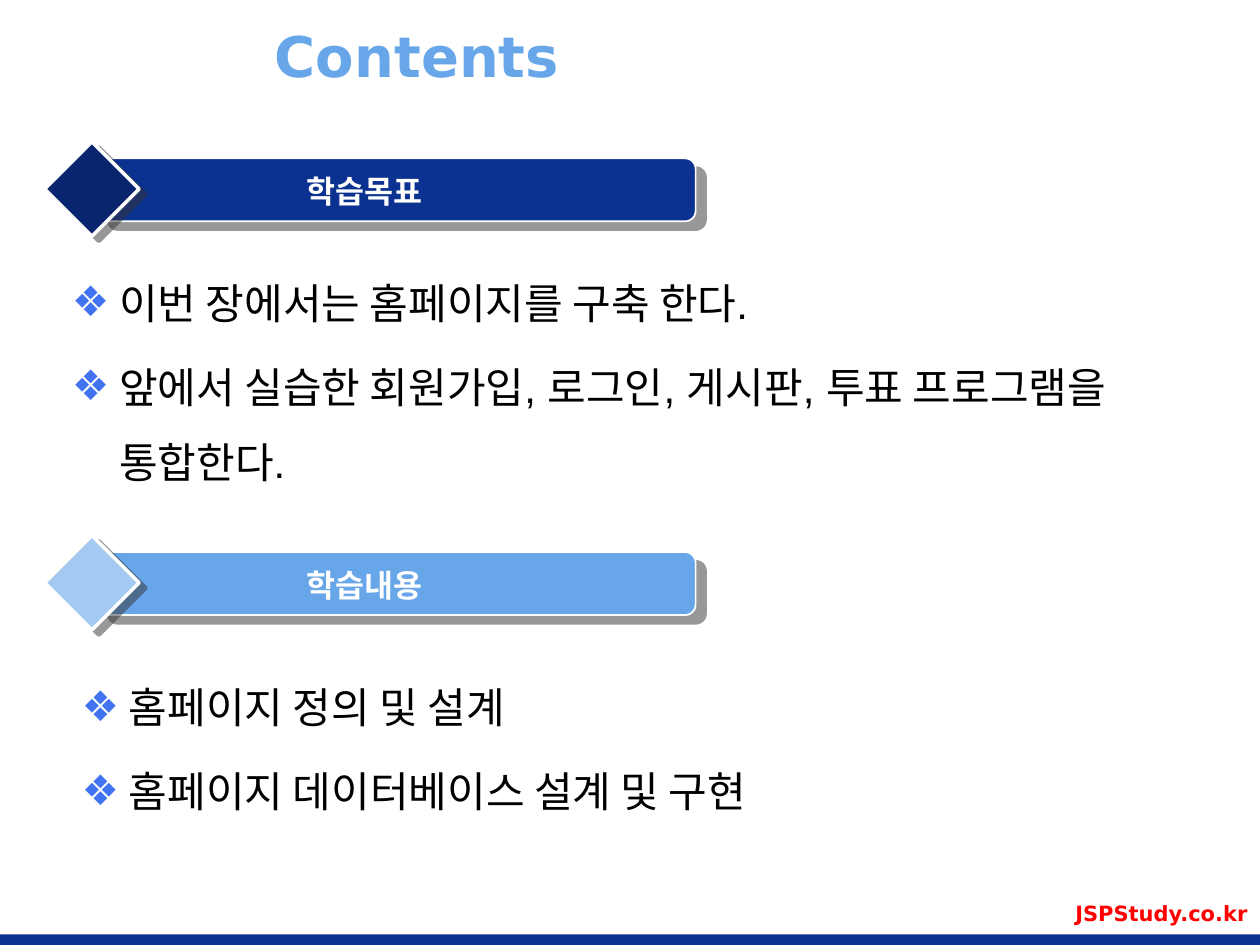
from lxml import etree
from pptx import Presentation
from pptx.dml.color import RGBColor
from pptx.enum.shapes import MSO_SHAPE
from pptx.enum.text import MSO_ANCHOR, PP_ALIGN
from pptx.oxml.ns import qn
from pptx.util import Pt

RECTANGLE = MSO_SHAPE.RECTANGLE
ROUNDED = MSO_SHAPE.ROUNDED_RECTANGLE
DIAMOND = MSO_SHAPE.DIAMOND
LEFT, CENTER, RIGHT = PP_ALIGN.LEFT, PP_ALIGN.CENTER, PP_ALIGN.RIGHT
TOP, MIDDLE = MSO_ANCHOR.TOP, MSO_ANCHOR.MIDDLE

COLORS = {
    "navy": "0B3191",
    "dark_navy": "08256D",
    "sky": "68A6EA",
    "pale_sky": "A4CAF2",
    "bullet": "4173F1",
    "shadow": "333333",
    "red": "FF0000",
    "black": "000000",
    "white": "FFFFFF",
}
LATIN_FONT = "DejaVu Sans"
BODY_FONT = "Arial"


def rgb(name):
    return RGBColor.from_string(COLORS[name])


def add_bullet(paragraph, indent=27):
    properties = paragraph._p.get_or_add_pPr()
    properties.set("marL", str(Pt(indent)))
    properties.set("indent", str(-Pt(indent)))
    color = etree.SubElement(properties, qn("a:buClr"))
    etree.SubElement(color, qn("a:srgbClr"), val=COLORS["bullet"])
    etree.SubElement(properties, qn("a:buFont"), typeface=LATIN_FONT)
    etree.SubElement(properties, qn("a:buChar"), char="❖")


def add_text(shapes, lines, box, size=24, font=BODY_FONT, color="black", bold=False,
             align=LEFT, anchor=TOP, bullets=False, line_spacing=1.0, gap=0):
    text_box = shapes.add_textbox(*map(Pt, box))
    frame = text_box.text_frame
    frame.word_wrap = True
    frame.vertical_anchor = anchor
    for index, line in enumerate(lines):
        paragraph = frame.paragraphs[0] if index == 0 else frame.add_paragraph()
        paragraph.alignment = align
        paragraph.line_spacing = line_spacing
        if index:
            paragraph.space_before = Pt(gap)
        if bullets:
            add_bullet(paragraph)
        run = paragraph.add_run()
        run.text = line
        run.font.size = Pt(size)
        run.font.name = font
        run.font.bold = bold
        run.font.color.rgb = rgb(color)


def add_block(shapes, kind, box, fill, line_width=0):
    shape = shapes.add_shape(kind, *map(Pt, box))
    shape.shadow.inherit = False
    shape.fill.solid()
    shape.fill.fore_color.rgb = rgb(fill)
    if line_width:
        shape.line.color.rgb = rgb("white")
        shape.line.width = Pt(line_width)
    else:
        shape.line.fill.background()
    return shape


def add_shadow(shape, distance, degrees):
    effects = shape._element.spPr.find(qn("a:effectLst"))
    shadow = etree.SubElement(effects, qn("a:outerShdw"), blurRad="0",
                              dist=str(Pt(distance)), dir=str(degrees * 60000),
                              algn="ctr", rotWithShape="0")
    color = etree.SubElement(shadow, qn("a:srgbClr"), val=COLORS["shadow"])
    etree.SubElement(color, qn("a:alpha"), val="50000")


def add_section_header(slide, box, label, bar_color, diamond_color):
    left, top, width, height = box
    shapes = slide.shapes.add_group_shape().shapes
    # Bar starts behind the middle of the diamond
    bar = add_block(shapes, ROUNDED, (left + 30, top + 9.5, width - 30, 36), bar_color, 1)
    add_shadow(bar, 7.8, 40)
    diamond = add_block(shapes, DIAMOND, (left, top, height, height), diamond_color, 2)
    add_shadow(diamond, 5, 37)
    add_text(shapes, [label], (left + 48, top + 14, 270, 29), size=18,
             color="white", bold=True, align=CENTER)


def add_bullet_list(slide, box, lines, font):
    add_text(slide.shapes, lines, box, font=font, bullets=True,
             line_spacing=1.5, gap=4.8)


def add_footer(slide, box):
    left, top, width, height = box
    add_block(slide.shapes, RECTANGLE, (left, top + height - 6, width, 6), "navy")
    add_text(slide.shapes, ["JSPStudy.co.kr"], (left + width - 228, top, 228, 25),
             size=12, font=LATIN_FONT, color="red", bold=True, align=RIGHT)


def main():
    presentation = Presentation()
    presentation.slide_width, presentation.slide_height = Pt(720), Pt(540)
    slide = presentation.slides.add_slide(presentation.slide_layouts[6])

    # Title
    add_text(slide.shapes, ["Contents"], (150, 9, 516, 45), size=32, font=LATIN_FONT,
             color="sky", bold=True, anchor=MIDDLE)

    # Learning goals
    add_section_header(slide, (25.5, 81, 372, 54), "학습목표", "navy", "dark_navy")
    add_bullet_list(slide, (34, 140.5, 641, 140), [
        "이번 장에서는 홈페이지를 구축 한다.",
        "앞에서 실습한 회원가입, 로그인, 게시판, 투표 프로그램을 통합한다.",
    ], BODY_FONT)

    # Learning topics
    add_section_header(slide, (25.5, 306, 372, 54), "학습내용", "sky", "pale_sky")
    add_bullet_list(slide, (39.5, 371.5, 580, 130), [
        "홈페이지 정의 및 설계",
        "홈페이지 데이터베이스 설계 및 구현",
    ], LATIN_FONT)

    # Footer
    add_footer(slide, (0, 511, 720, 29))

    presentation.save("out.pptx")


if __name__ == "__main__":
    main()
